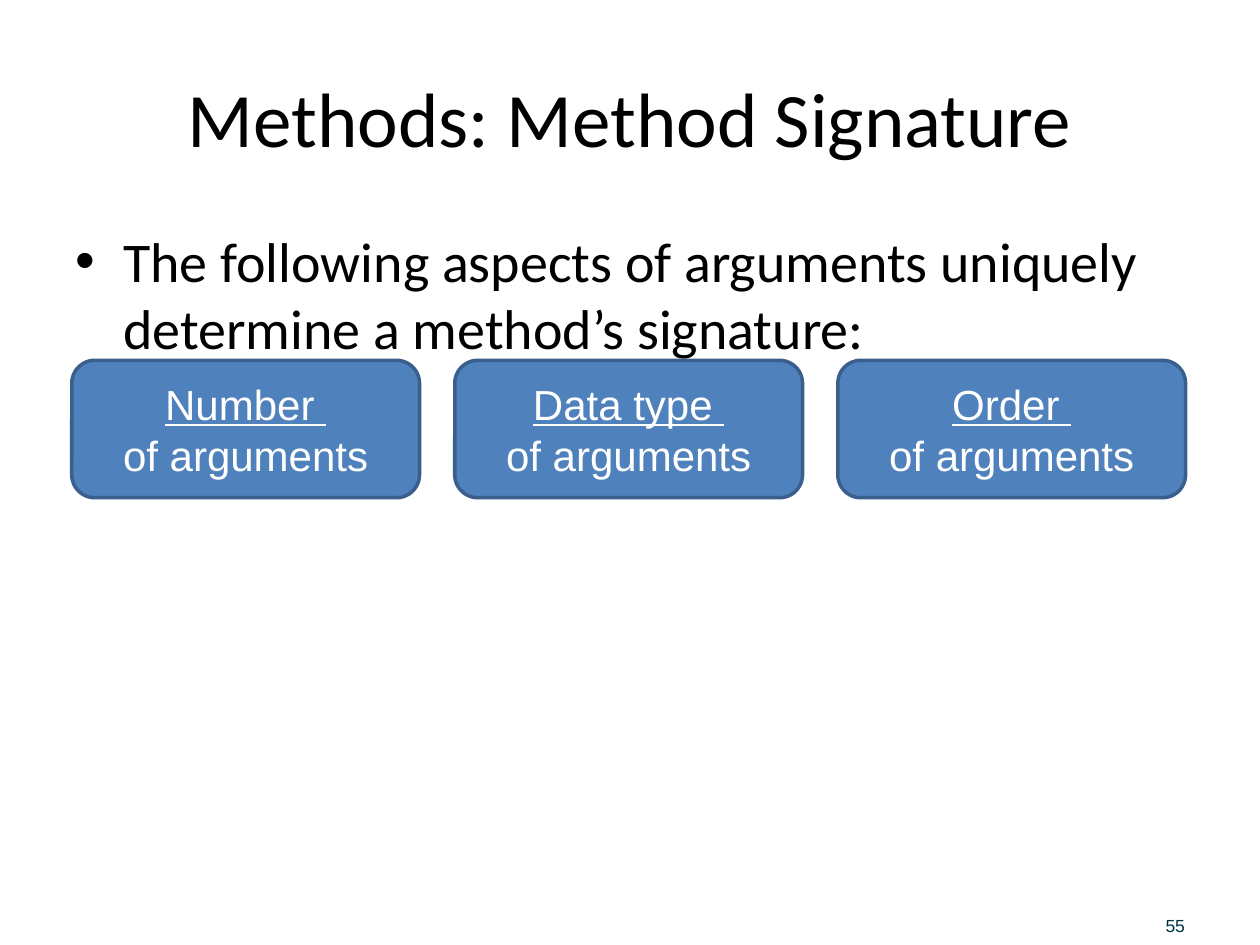
from dataclasses import dataclass

from lxml.etree import SubElement
from pptx import Presentation
from pptx.dml.color import RGBColor
from pptx.enum.shapes import MSO_SHAPE
from pptx.enum.text import MSO_ANCHOR, PP_ALIGN
from pptx.oxml.ns import qn
from pptx.util import Inches, Pt

TITLE = "Methods: Method Signature"
LEAD = "The following aspects of arguments uniquely determine a method’s signature:"
ASPECTS = ["Number ", "Data type ", "Order "]
SUFFIX = "of arguments"
PAGE = "55"


@dataclass(frozen=True)
class Theme:
    head: str = "Calibri"
    body: str = "Arial"
    ink: str = "000000"
    light: str = "FFFFFF"
    fill: str = "4F81BD"
    edge: str = "3A5F8C"
    foot: str = "003344"
    title: int = 44
    lead: int = 32
    card: int = 24
    page: int = 10


THEME = Theme()


def box(left, top, width, height):
    return [Inches(n) for n in (left, top, width, height)]


def style(para, name, size, color, align=PP_ALIGN.LEFT):
    para.alignment = align
    font = para.font
    font.name, font.size = name, Pt(size)
    font.color.rgb = RGBColor.from_string(color)


def bullet(para, indent):
    """Give the paragraph a round bullet with a hanging indent."""
    props = para._p.get_or_add_pPr()
    props.set("marL", str(Inches(indent)))
    props.set("indent", str(-Inches(indent)))
    SubElement(props, qn("a:buFont"), typeface="Arial")
    SubElement(props, qn("a:buChar"), char="•")


def add_title(slide):
    title = slide.shapes.title
    title.left, title.top, title.width, title.height = box(0.5, 0.3, 9, 1.25)
    frame = title.text_frame
    frame.text = TITLE
    frame.vertical_anchor = MSO_ANCHOR.MIDDLE
    style(frame.paragraphs[0], THEME.head, THEME.title, THEME.ink, PP_ALIGN.CENTER)


def add_lead(slide):
    frame = slide.shapes.add_textbox(*box(0.5, 1.75, 9, 4.95)).text_frame
    frame.word_wrap = True
    frame.text = LEAD
    para = frame.paragraphs[0]
    bullet(para, 0.38)
    style(para, THEME.head, THEME.lead, THEME.ink)


def add_card(slide, aspect, left):
    card = slide.shapes.add_shape(
        MSO_SHAPE.ROUNDED_RECTANGLE, *box(left, 2.86, 2.76, 1.09))
    card.shadow.inherit = False
    card.fill.solid()
    card.fill.fore_color.rgb = RGBColor.from_string(THEME.fill)
    card.line.color.rgb = RGBColor.from_string(THEME.edge)
    card.line.width = Pt(2)
    frame = card.text_frame
    frame.vertical_anchor = MSO_ANCHOR.MIDDLE
    frame.text = f"{aspect}\n{SUFFIX}"
    for para in frame.paragraphs:
        style(para, THEME.body, THEME.card, THEME.light, PP_ALIGN.CENTER)
    frame.paragraphs[0].runs[0].font.underline = True


def add_page(slide):
    frame = slide.shapes.add_textbox(*box(9.25, 7.15, 0.69, 0.28)).text_frame
    frame.word_wrap = True
    frame.margin_left = frame.margin_right = 0
    frame.margin_top = frame.margin_bottom = 0
    frame.vertical_anchor = MSO_ANCHOR.BOTTOM
    frame.text = PAGE
    style(frame.paragraphs[0], THEME.body, THEME.page, THEME.foot)


def main():
    deck = Presentation()
    deck.slide_width, deck.slide_height = Inches(10), Inches(7.5)
    slide = deck.slides.add_slide(deck.slide_layouts[5])
    add_title(slide)
    add_lead(slide)
    for i, aspect in enumerate(ASPECTS):
        add_card(slide, aspect, 0.57 + 3.04 * i)
    add_page(slide)
    deck.save("out.pptx")


if __name__ == "__main__":
    main()
